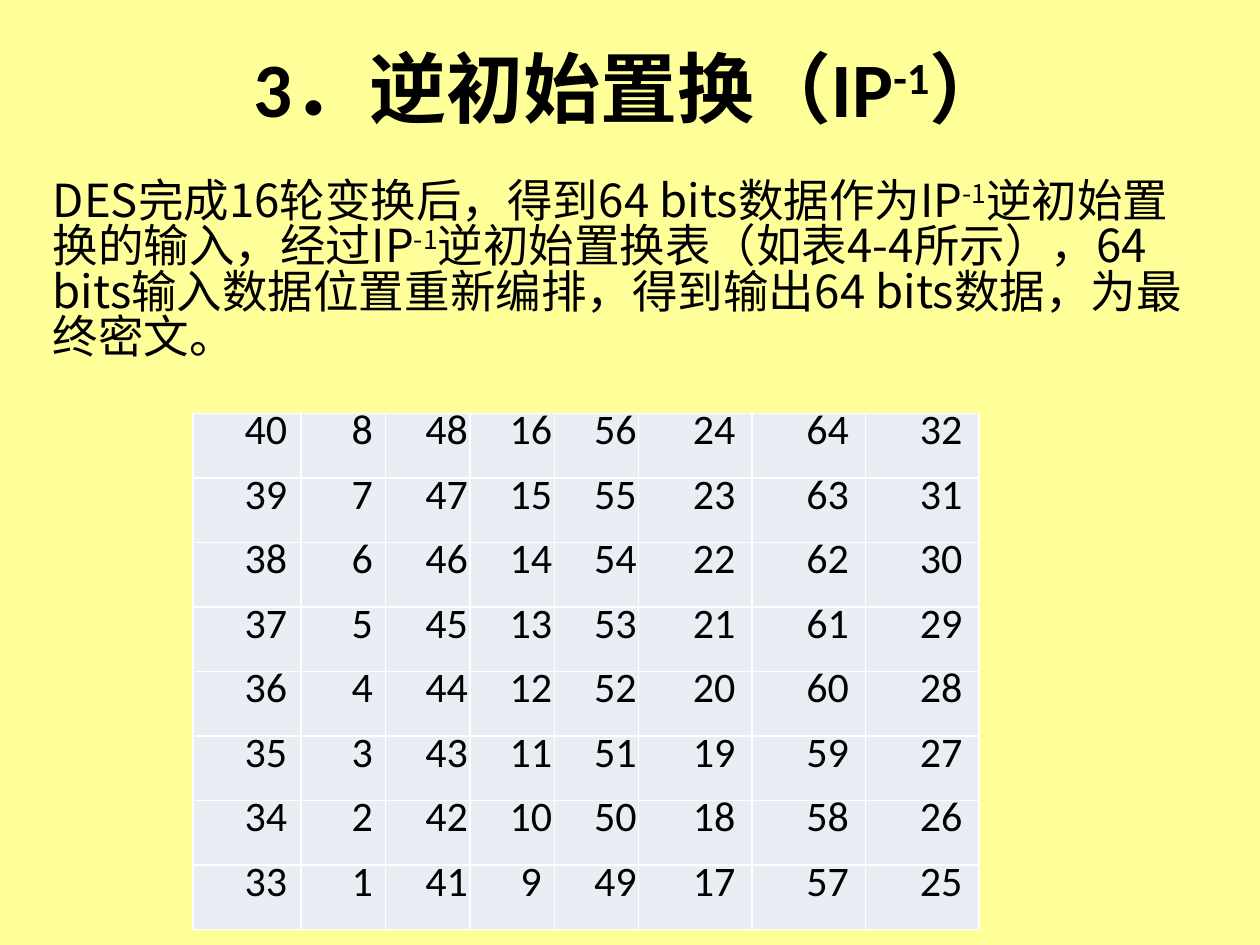
from lxml import etree
from pptx import Presentation
from pptx.dml.color import RGBColor
from pptx.enum.text import MSO_ANCHOR, PP_ALIGN
from pptx.oxml.ns import qn
from pptx.util import Inches, Pt

MIDDLE, TOP = MSO_ANCHOR.MIDDLE, MSO_ANCHOR.TOP
CENTER, LEFT = PP_ALIGN.CENTER, PP_ALIGN.LEFT

BACKGROUND = RGBColor(0xFF, 0xFF, 0x99)
CELL_FILL = RGBColor(0xE9, 0xED, 0xF4)
BLACK = RGBColor(0x00, 0x00, 0x00)
LATIN_FONT = "Calibri"
CHINESE_FONT = "Noto Sans CJK SC"


def add_span(para, text, font_format, superscript=False):
    span = para.add_run()
    span.text = text
    for name, value in font_format.items():
        setattr(span.font, name, value)
    span.font.color.rgb = BLACK
    properties = span.font._element
    etree.SubElement(properties, qn("a:ea")).set("typeface", CHINESE_FONT)
    if superscript:
        properties.set("baseline", "30000")


def add_text(page, place, anchor, spans, para_format, font_format):
    box = page.shapes.add_textbox(*[Inches(length) for length in place])
    box.text_frame.word_wrap = True
    box.text_frame.vertical_anchor = anchor
    para = box.text_frame.paragraphs[0]
    for name, value in para_format.items():
        setattr(para, name, value)
    for text in spans:
        add_span(para, text, font_format, superscript=text == "-1")


deck = Presentation()
deck.slide_width, deck.slide_height = Inches(10), Inches(7.5)
page = deck.slides.add_slide(deck.slide_layouts[6])
page.background.fill.solid()
page.background.fill.fore_color.rgb = BACKGROUND

# Title
add_text(page, (0.75, 0.14, 8.5, 1.09), MIDDLE,
         ["3．逆初始置换（IP", "-1", "）"],
         {"alignment": CENTER},
         {"size": Pt(44), "bold": True, "name": LATIN_FONT})

# Explanation
add_text(page, (0.32, 1.39, 9.25, 1.97), TOP,
         ["DES完成16轮变换后，得到64 bits数据作为IP", "-1",
          "逆初始置换的输入，经过IP", "-1",
          "逆初始置换表（如表4-4所示），64 bits输入数据位置重新编排，"
          "得到输出64 bits数据，为最终密文。"],
         {"alignment": LEFT, "line_spacing": 0.83, "space_before": Pt(3)},
         {"size": Pt(26), "name": CHINESE_FONT})

# Inverse permutation table: each row is one less than the row above
first_row = [40, 8, 48, 16, 56, 24, 64, 32]
column_widths = [0.86, 0.67, 0.67, 0.67, 0.67, 0.9, 0.9, 0.9]
row_count = 8
grid = page.shapes.add_table(row_count, len(first_row), Inches(1.53), Inches(3.28),
                             Inches(sum(column_widths)), Inches(4.1)).table
grid.first_row = False
grid.horz_banding = False
for column, width in zip(grid.columns, column_widths):
    column.width = Inches(width)

cell_format = {"margin_left": 0, "margin_right": 0, "margin_top": 0,
               "margin_bottom": 0, "vertical_anchor": MIDDLE}
for row_index in range(row_count):
    for column_index, start in enumerate(first_row):
        cell = grid.cell(row_index, column_index)
        for name, value in cell_format.items():
            setattr(cell, name, value)
        cell.fill.solid()
        cell.fill.fore_color.rgb = CELL_FILL
        para = cell.text_frame.paragraphs[0]
        para.alignment = CENTER
        para.line_spacing = Pt(12)
        para_properties = para._p.get_or_add_pPr()
        para_properties.set("marL", str(Inches(0.3)))
        para_properties.set("indent", "0")
        add_span(para, str(start - row_index), {"size": Pt(24), "name": LATIN_FONT})

deck.save("out.pptx")
